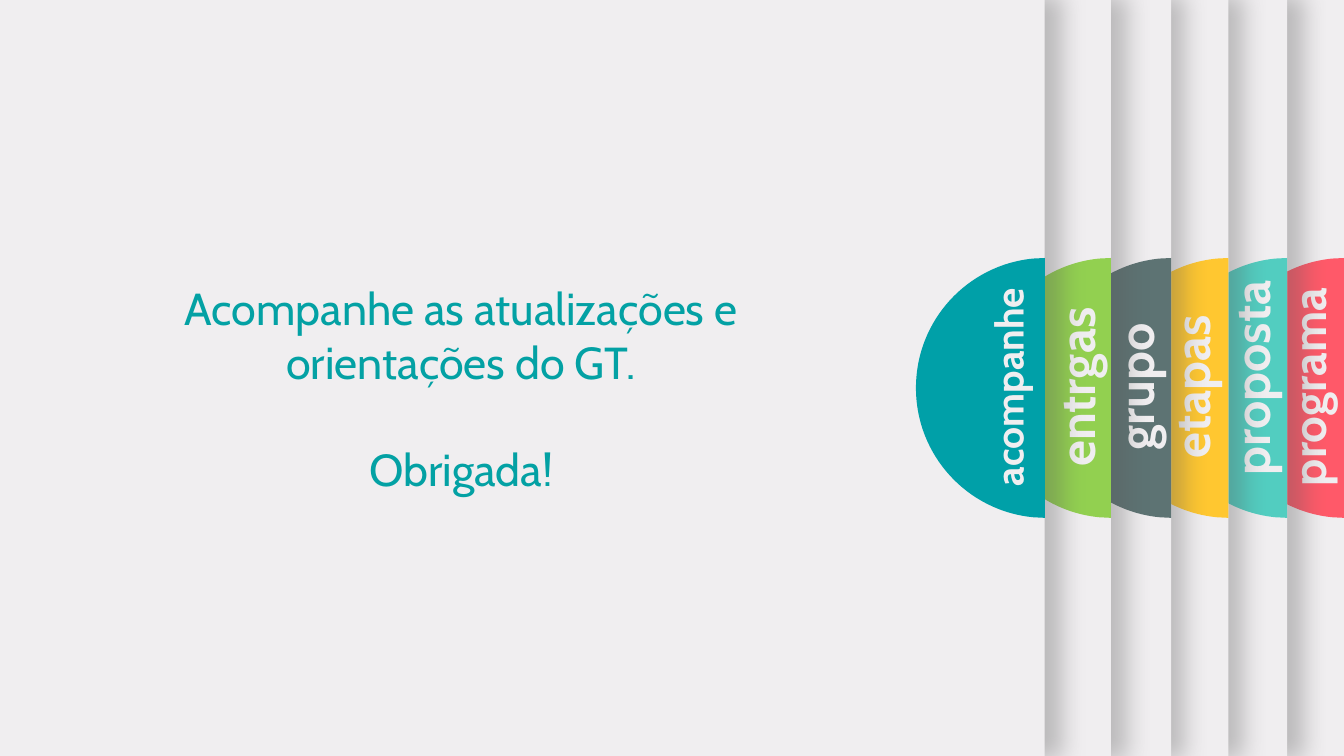
from dataclasses import dataclass

from lxml.etree import SubElement
from pptx import Presentation
from pptx.dml.color import RGBColor
from pptx.enum.shapes import MSO_SHAPE
from pptx.enum.text import MSO_ANCHOR, MSO_AUTO_SIZE, PP_ALIGN
from pptx.oxml.ns import qn
from pptx.util import Pt


@dataclass(frozen=True)
class Theme:
    paper: str = "F0EEF0"
    shade: str = "595959"
    message: str = "03A1A4"
    font: str = "Cabin"
    message_size: int = 32


@dataclass(frozen=True)
class Tab:
    word: str
    color: str
    size: int
    left: float
    right: float
    label_center: float
    label_middle: float = 276.5


THEME = Theme()
WIDTH, HEIGHT = 960, 540
TAB_MIDDLE, LABEL_WIDTH = 277.1, 157
LOWER_ARC = [(8.3, 92.4), (55.4, 87.8), (92, 48.2)]
HALF_DISC = [(0, -92.8), (0, 92.8), *LOWER_ARC, (92, 0),
             *[(inset, -drop) for inset, drop in reversed(LOWER_ARC)]]

TABS = [
    Tab("programa", "FF5969", 34, -23, 960, 934.6),
    Tab("proposta", "52CDC0", 36, 18, 919.4, 893.5, 270),
    Tab("etapas", "FFC730", 36, 93, 877.5, 851),
    Tab("grupo", "5D7373", 36, 83, 836.6, 810.9),
    Tab("entrgas", "92D050", 36, -140, 793.5, 768.3),
    Tab("acompanhe", "00A0A8", 28, -146, 746.3, 720.3),
]


def paint(shape, color):
    shape.fill.solid()
    shape.fill.fore_color.rgb = RGBColor.from_string(color)
    shape.line.fill.background()
    shape.shadow.inherit = False


def cast_shadow(shape):
    effects = shape._element.spPr.find(qn("a:effectLst"))
    shadow = SubElement(effects, qn("a:outerShdw"), blurRad=str(Pt(17)),
                        dist=str(Pt(3)), dir="0", sx="101000", sy="101000",
                        algn="l", rotWithShape="0")
    tint = SubElement(shadow, qn("a:srgbClr"), val=THEME.shade)
    SubElement(tint, qn("a:alpha"), val="35000")


def add_sheet(shapes, left, right):
    sheet = shapes.add_shape(MSO_SHAPE.RECTANGLE, Pt(left), Pt(0),
                             Pt(right - left), Pt(HEIGHT))
    paint(sheet, THEME.paper)
    cast_shadow(sheet)


def bend(outline, first):
    sides = outline.findall(qn("a:lnTo"))
    for start in range(first, len(sides), 3):
        curve = SubElement(outline, qn("a:cubicBezTo"))
        sides[start].addprevious(curve)
        for side in sides[start:start + 3]:
            curve.append(side[0])
            outline.remove(side)


def add_half_disc(shapes, right, color):
    rim = [(Pt(right - inset), Pt(TAB_MIDDLE + drop)) for inset, drop in HALF_DISC]
    builder = shapes.build_freeform(*rim[0])
    builder.add_line_segments(rim[1:], close=True)
    disc = builder.convert_to_shape()
    bend(next(disc._element.iter(qn("a:path"))), first=2)
    paint(disc, color)


def add_text(shapes, left, top, width, height, lines, size, color, bold=False, gap=0):
    box = shapes.add_textbox(Pt(left), Pt(top), Pt(width), Pt(height))
    frame = box.text_frame
    frame.word_wrap = True
    frame.auto_size = MSO_AUTO_SIZE.SHAPE_TO_FIT_TEXT
    frame.vertical_anchor = MSO_ANCHOR.TOP
    frame.margin_left = frame.margin_right = Pt(0)
    for index, line in enumerate(lines):
        paragraph = frame.add_paragraph() if index else frame.paragraphs[0]
        paragraph.alignment = PP_ALIGN.CENTER
        if index:
            paragraph.space_before = Pt(gap)
        run = paragraph.add_run()
        run.text = line
        run.font.name = THEME.font
        run.font.size = Pt(size)
        run.font.bold = bold
        run.font.color.rgb = RGBColor.from_string(color)
    return box


def add_tab(slide, tab):
    shapes = slide.shapes.add_group_shape().shapes
    add_sheet(shapes, tab.left, tab.right)
    add_half_disc(shapes, tab.right, tab.color)
    height = tab.size * 1.22 + 7.2
    label = add_text(shapes, tab.label_center - LABEL_WIDTH / 2,
                     tab.label_middle - height / 2, LABEL_WIDTH, height,
                     [tab.word], tab.size, THEME.paper, bold=True)
    label.rotation = 270


def main():
    deck = Presentation()
    deck.slide_width, deck.slide_height = Pt(WIDTH), Pt(HEIGHT)
    slide = deck.slides.add_slide(deck.slide_layouts[6])
    slide.background.fill.solid()
    slide.background.fill.fore_color.rgb = RGBColor.from_string(THEME.paper)
    for tab in TABS:
        add_tab(slide, tab)
    add_text(slide.shapes, 72, 197, 515, 162.7,
             ["Acompanhe as atualizações e orientações do GT.", "Obrigada!"],
             THEME.message_size, THEME.message, gap=38.3)
    deck.save("out.pptx")


if __name__ == "__main__":
    main()
